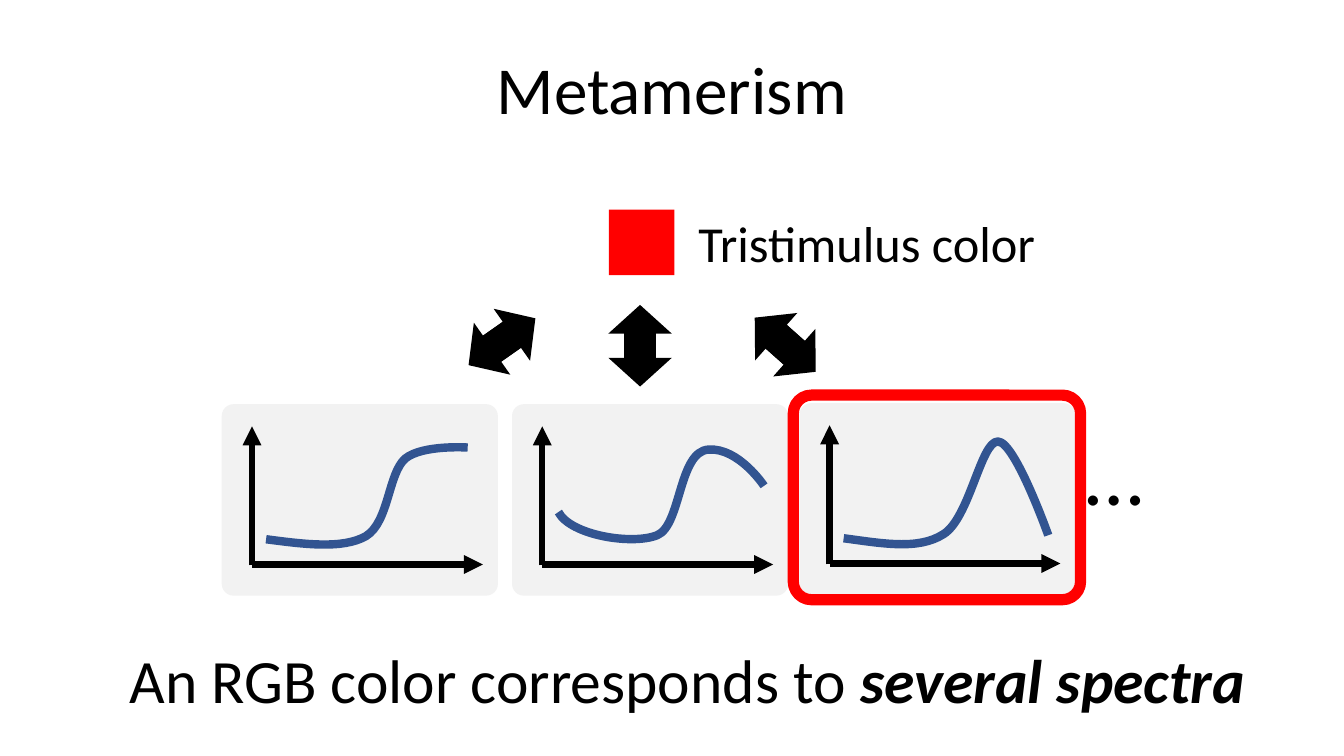
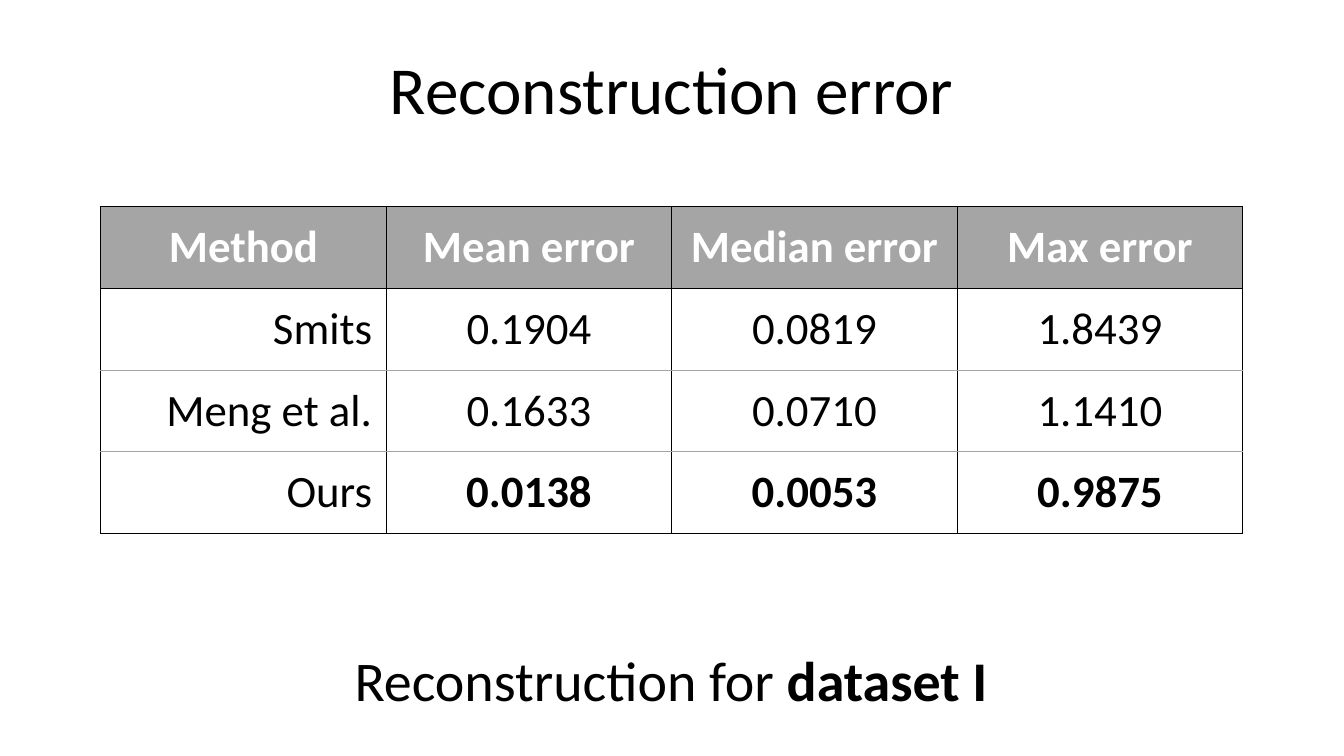
from math import cos, radians, sin

from lxml.etree import SubElement
from pptx import Presentation
from pptx.dml.color import RGBColor
from pptx.enum.shapes import MSO_CONNECTOR, MSO_SHAPE as Shape
from pptx.enum.text import MSO_ANCHOR as Anchor, MSO_AUTO_SIZE as AutoSize, PP_ALIGN as Align
from pptx.oxml import parse_xml
from pptx.oxml.ns import nsdecls, qn
from pptx.util import Pt

PX = 9144  # 100 px to the inch
COLORS = {
    "text": "000000",
    "white": "FFFFFF",
    "red": "FF0000",
    "panel": "F2F2F2",
    "curve": "325491",
    "grey": "A5A5A5",
}


def px(*lengths):
    return [round(length * PX) for length in lengths]


def rgb(name):
    return RGBColor.from_string(COLORS[name])


def write(frame, *runs, size, color="text", align=Align.LEFT, spacing=None):
    """Fill the first paragraph with (text, style) runs; style holds b and i flags."""
    paragraph = frame.paragraphs[0]
    paragraph.alignment = align
    if spacing:
        paragraph.line_spacing = spacing
    for text, style in runs:
        run = paragraph.add_run()
        run.text = text
        font = run.font
        font.name, font.size = "Calibri", Pt(size)
        font.bold, font.italic = "b" in style, "i" in style
        font.color.rgb = rgb(color)


class Deck:
    def __init__(self):
        self.presentation = Presentation()
        self.presentation.slide_width, self.presentation.slide_height = px(1333.33, 750)
        self.slide = None

    def new_slide(self, title):
        self.slide = self.presentation.slides.add_slide(self.presentation.slide_layouts[5])
        shape = self.slide.shapes.title
        shape.left, shape.top, shape.width, shape.height = px(92, 39, 1149, 106)
        frame = shape.text_frame
        frame.vertical_anchor = Anchor.MIDDLE
        frame.auto_size = AutoSize.NONE
        write(frame, (title, ""), size=48, align=Align.CENTER, spacing=0.9)

    def text(self, box, *runs, size):
        frame = self.slide.shapes.add_textbox(*px(*box)).text_frame
        frame.word_wrap = False
        frame.auto_size = AutoSize.SHAPE_TO_FIT_TEXT
        write(frame, *runs, size=size)

    def style(self, shape, fill=None, line=None, width=1):
        shape.shadow.inherit = False
        if fill:
            shape.fill.solid()
            shape.fill.fore_color.rgb = rgb(fill)
        else:
            shape.fill.background()
        if line:
            shape.line.color.rgb = rgb(line)
            shape.line.width = Pt(width)
        else:
            shape.line.fill.background()

    def shape(self, kind, box, corner=None, rotation=0, **look):
        shape = self.slide.shapes.add_shape(kind, *px(*box))
        shape.rotation = rotation
        if corner:
            shape.adjustments[0] = corner
        self.style(shape, **look)

    def axis(self, start, end):
        connector = self.slide.shapes.add_connector(
            MSO_CONNECTOR.STRAIGHT, *px(*start, *end))
        connector.line.color.rgb = rgb("text")
        connector.line.width = Pt(4.5)
        properties = connector._element.spPr
        SubElement(properties.find(qn("a:ln")), qn("a:tailEnd"), type="triangle")
        SubElement(properties, qn("a:effectLst"))

    def curve(self, box, start, segments):
        """Draw joined cubic curves, each given as two controls and an end."""
        left, top, width, height = box
        builder = self.slide.shapes.build_freeform(*px(*start), scale=1.0)
        builder.add_line_segments([px(*segment[-1]) for segment in segments], close=False)
        shape = builder.convert_to_shape()
        shape.left, shape.top, shape.width, shape.height = px(*box)
        outline = shape._element.spPr.find(".//" + qn("a:path"))
        for name, length in zip("wh", px(width, height)):
            outline.set(name, str(length))
        for child in list(outline):
            outline.remove(child)
        steps = [("a:moveTo", [start])] + [("a:cubicBezTo", segment) for segment in segments]
        for tag, points in steps:
            step = SubElement(outline, qn(tag))
            for point_x, point_y in points:
                x, y = px(point_x - left, point_y - top)
                SubElement(step, qn("a:pt"), x=str(x), y=str(y))
        self.style(shape, line="curve", width=6)

    def spectrum(self, left, top, box, start, segments):
        """Draw a grey panel holding two axes and one curve."""
        self.shape(Shape.ROUNDED_RECTANGLE, (left, top, 274, 190), 0.062, fill="panel")
        x, y = left + 30, top + 159
        self.axis((x, y), (x + 229, y))
        self.axis((x, y + 1), (x, y - 137))
        self.curve(box, start, segments)

    def double_arrow(self, x, y, angle):
        """Lay two opposite arrows around a centre."""
        width, height, offset = 57, 63, 12
        for turn in (angle, (angle + 180) % 360):
            center_x = x + offset * cos(radians(turn))
            center_y = y + offset * sin(radians(turn))
            box = (center_x - width / 2, center_y - height / 2, width, height)
            self.shape(Shape.RIGHT_ARROW, box, rotation=turn, fill="text")

    def border(self, cell, sides):
        """Set (color, width) borders, in the order left, right, top, bottom."""
        properties = cell._tc.get_or_add_tcPr()
        for index, (side, (color, width)) in enumerate(zip("LRTB", sides)):
            properties.insert(index, parse_xml(
                f'<a:ln{side} {nsdecls("a")} w="{Pt(width)}"><a:solidFill>'
                f'<a:srgbClr val="{COLORS[color]}"/></a:solidFill></a:ln{side}>'))

    def table(self, box, rows):
        """Draw a table with a grey head and the last row's values in bold."""
        table = self.slide.shapes.add_table(len(rows), len(rows[0]), *px(*box)).table
        table.horz_banding = False
        last = len(rows) - 1
        strong, thin = ("text", 1), ("grey", 0.5)
        for r, row in enumerate(rows):
            head = r == 0
            above = strong if r <= 1 else thin
            below = strong if r in (0, last) else thin
            for c, text in enumerate(row):
                cell = table.cell(r, c)
                cell.margin_left, cell.margin_right = px(14, 14)
                cell.margin_top, cell.margin_bottom = px(7, 7)
                cell.vertical_anchor = Anchor.MIDDLE
                if head:
                    cell.fill.solid()
                    cell.fill.fore_color.rgb = rgb("grey")
                else:
                    cell.fill.background()
                self.border(cell, (strong, strong, above, below))
                bold = head or (r == last and c > 0)
                write(cell.text_frame, (text, "b" if bold else ""), size=32,
                      color="white" if head else "text",
                      align=Align.CENTER if head or c else Align.RIGHT)


def metamerism(deck):
    deck.new_slide("Metamerism")
    deck.shape(Shape.RECTANGLE, (604, 208, 65, 65), fill="red")
    deck.text((683, 206, 358, 71), ("Tristimulus color", ""), size=36)
    deck.spectrum(220, 401, (264, 444, 200, 96), (264, 535), [
        ((302, 540), (340, 545), (363, 532)),
        ((386, 518), (385, 470), (402, 455)),
        ((419, 441), (464, 444), (464, 444)),
    ])
    deck.spectrum(508, 401, (554, 446, 204, 89), (554, 508), [
        ((566, 531), (627, 541), (652, 531)),
        ((676, 521), (673, 448), (703, 446)),
        ((733, 444), (758, 482), (758, 482)),
    ])
    deck.spectrum(793, 400, (837, 438, 203, 102), (837, 534), [
        ((875, 539), (911, 546), (936, 530)),
        ((962, 514), (973, 438), (990, 438)),
        ((1007, 438), (1040, 531), (1040, 531)),
    ])
    deck.text((1067, 413, 78, 111), ("…", ""), size=60)
    for x, y, angle in ((498, 339, 325), (635, 343, 270), (779, 342, 221.6)):
        deck.double_arrow(x, y, angle)
    deck.shape(Shape.ROUNDED_RECTANGLE, (787, 392, 285, 203), 0.089, line="red", width=8)
    deck.text((119, 632, 1138, 84), ("An RGB color corresponds to ", ""),
              ("several spectra", "bi"), size=44)


def reconstruction_error(deck):
    deck.new_slide("Reconstruction error")
    deck.table((100, 205, 1133, 324), [
        ("Method", "Mean error", "Median error", "Max error"),
        ("Smits", "0.1904", "0.0819", "1.8439"),
        ("Meng et al.", "0.1633", "0.0710", "1.1410"),
        ("Ours", "0.0138", "0.0053", "0.9875"),
    ])
    deck.text((342, 636, 650, 77), ("Reconstruction for ", ""), ("dataset I", "b"), size=40)


def main():
    deck = Deck()
    metamerism(deck)
    reconstruction_error(deck)
    deck.presentation.save("out.pptx")


if __name__ == "__main__":
    main()
